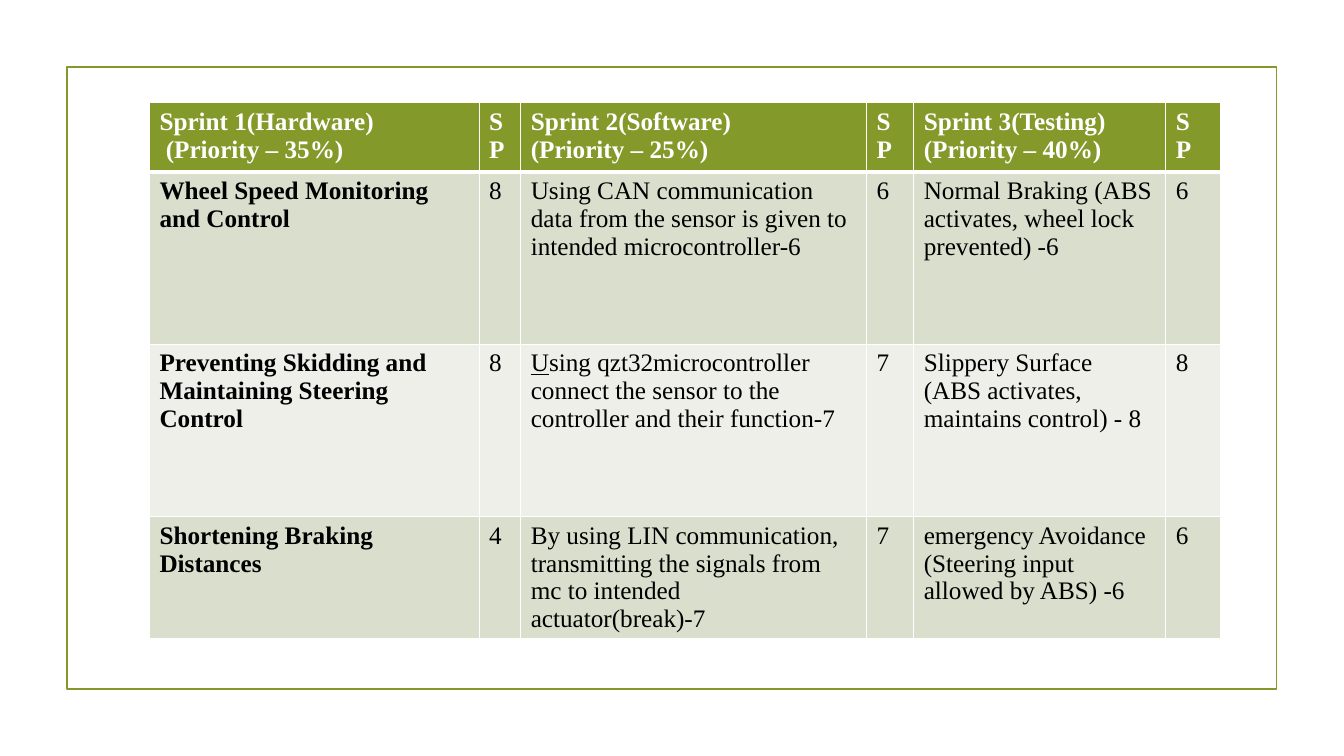
from dataclasses import dataclass

from lxml import etree
from pptx import Presentation
from pptx import util as u
from pptx.dml.color import RGBColor
from pptx.enum import shapes
from pptx.oxml import ns


@dataclass(frozen=True)
class Theme:
    font: str = "Times New Roman"
    size: float = 18
    line: float = 1.25
    header_rule: float = 3
    accent: str = "83992A"
    light: str = "FFFFFF"
    dark: str = "000000"
    bands: tuple = ("D9DECD", "EDEFE8")


class SlideBuilder:
    def __init__(self, prs, theme):
        self.theme = theme
        self.slide = prs.slides.add_slide(prs.slide_layouts[6])

    def frame(self, x, y, w, h):
        sp = self.slide.shapes.add_shape(
            shapes.MSO_SHAPE.RECTANGLE, u.Pt(x), u.Pt(y), u.Pt(w), u.Pt(h))
        sp.shadow.inherit = False
        sp.fill.background()
        sp.line.color.rgb = RGBColor.from_string(self.theme.accent)
        sp.line.width = u.Pt(self.theme.line)

    def table(self, x, y, widths, heights, rows):
        tbl = self.slide.shapes.add_table(
            len(rows), len(widths), u.Pt(x), u.Pt(y),
            u.Pt(sum(widths)), u.Pt(sum(heights))).table
        for col, width in zip(tbl.columns, widths):
            col.width = u.Pt(width)
        for row, height in zip(tbl.rows, heights):
            row.height = u.Pt(height)
        for i, values in enumerate(rows):
            header = i == 0
            fill = self.theme.accent if header else self.theme.bands[(i - 1) % 2]
            color = self.theme.light if header else self.theme.dark
            for j, value in enumerate(values):
                cell = tbl.cell(i, j)
                self.cell(cell, value, fill, color, header or j == 0)
                if header:
                    self.rule_below(cell)
        return tbl

    def cell(self, cell, value, fill, color, bold):
        cell.fill.solid()
        cell.fill.fore_color.rgb = RGBColor.from_string(fill)
        cell.text = value
        for p in cell.text_frame.paragraphs:
            p.font.name = self.theme.font
            p.font.size = u.Pt(self.theme.size)
            p.font.bold = bold
            p.font.color.rgb = RGBColor.from_string(color)

    def rule_below(self, cell):
        ln = etree.Element(ns.qn("a:lnB"), w=str(u.Pt(self.theme.header_rule)))
        solid = etree.SubElement(ln, ns.qn("a:solidFill"))
        etree.SubElement(solid, ns.qn("a:srgbClr"), val=self.theme.light)
        cell._tc.get_or_add_tcPr().insert(0, ln)

    def underline_initial(self, cell):
        p = cell.text_frame.paragraphs[0]
        r = p.runs[0]
        initial, rest = r.text[0], r.text[1:]
        r.text = initial
        r.font.underline = True
        p.add_run().text = rest


SPRINTS = [
    ["Sprint 1(Hardware)\v (Priority – 35%)", "SP",
     "Sprint 2(Software)\n(Priority – 25%)", "SP",
     "Sprint 3(Testing)\n(Priority – 40%)", "S\nP"],
    ["Wheel Speed Monitoring and Control", "8",
     "Using CAN communication data from the sensor is given to intended microcontroller-6", "6",
     "Normal Braking (ABS activates, wheel lock prevented) -6", "6"],
    ["Preventing Skidding and Maintaining Steering Control", "8",
     "Using qzt32microcontroller connect the sensor to the controller and their function-7", "7",
     "Slippery Surface (ABS activates, maintains control) - 8", "8"],
    ["Shortening Braking Distances", "4",
     "By using LIN communication, transmitting the signals from mc to intended actuator(break)-7", "7",
     "emergency Avoidance (Steering input allowed by ABS) -6", "6"],
]


def main():
    prs = Presentation()
    prs.slide_width, prs.slide_height = u.Pt(960), u.Pt(540)
    s = SlideBuilder(prs, Theme())
    s.frame(47.75, 48, 864, 444)
    tbl = s.table(106.75, 73.5, [235.5, 29.75, 247, 33.75, 180, 39.5],
                  [49.5, 123, 123, 86.5], SPRINTS)
    s.underline_initial(tbl.cell(2, 2))
    prs.save("out.pptx")


if __name__ == "__main__":
    main()
